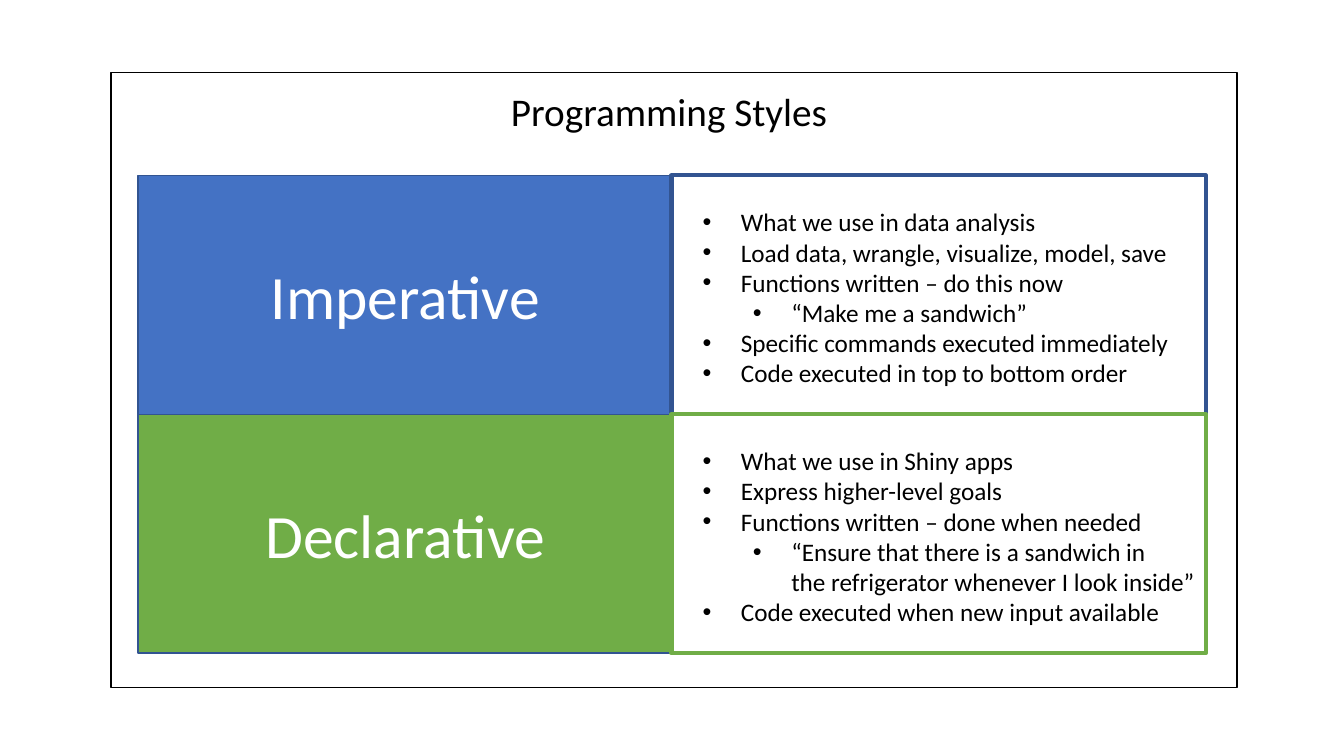
import pptx
import pptx.dml.color
import pptx.enum.shapes
import pptx.enum.text
import pptx.util
from lxml import etree
from pptx.dml.color import RGBColor
from pptx.util import Inches

BLACK = RGBColor(0x00, 0x00, 0x00)
WHITE = RGBColor(0xFF, 0xFF, 0xFF)
BLUE = RGBColor(0x44, 0x72, 0xC4)
DARK_BLUE = RGBColor(0x32, 0x54, 0x91)
GREEN = RGBColor(0x70, 0xAD, 0x47)
FONT = "Calibri"
DRAWING_NS = "{http://schemas.openxmlformats.org/drawingml/2006/main}"

# Grid of two rows and two columns
LABEL_LEFT, DETAIL_LEFT, GRID_TOP = 1.37, 6.66, 1.74
CELL_WIDTH, CELL_HEIGHT = 5.3, 2.37
POINTS_LEFT, POINTS_HEIGHT = 6.87, 1.92

# Label, fill, detail border, points width, points top, (level, point) list
STYLES = [
    ("Imperative", BLUE, DARK_BLUE, 4.87, 2.0, [
        (0, "What we use in data analysis"),
        (0, "Load data, wrangle, visualize, model, save"),
        (0, "Functions written – do this now"),
        (1, "“Make me a sandwich”"),
        (0, "Specific commands executed immediately"),
        (0, "Code executed in top to bottom order"),
    ]),
    ("Declarative", GREEN, GREEN, 5.13, 4.37, [
        (0, "What we use in Shiny apps"),
        (0, "Express higher-level goals"),
        (0, "Functions written – done when needed"),
        (1, "“Ensure that there is a sandwich in \vthe refrigerator whenever I look inside”"),
        (0, "Code executed when new input available"),
    ]),
]


def format_runs(paragraph, size, color):
    for run in paragraph.runs:
        run.font.name = FONT
        run.font.size = pptx.util.Pt(size)
        run.font.color.rgb = color


def add_box(slide, left, top, width, height, border, weight, fill=None):
    box = slide.shapes.add_shape(
        pptx.enum.shapes.MSO_SHAPE.RECTANGLE,
        Inches(left), Inches(top), Inches(width), Inches(height))
    box.shadow.inherit = False
    if fill is None:
        box.fill.background()
    else:
        box.fill.solid()
        box.fill.fore_color.rgb = fill
    box.line.color.rgb = border
    box.line.width = pptx.util.Pt(weight)
    return box


def add_label(box, label):
    frame = box.text_frame
    frame.text = label
    frame.vertical_anchor = pptx.enum.text.MSO_ANCHOR.MIDDLE
    frame.paragraphs[0].alignment = pptx.enum.text.PP_ALIGN.CENTER
    format_runs(frame.paragraphs[0], 44, WHITE)


def add_text_frame(slide, left, top, width, height):
    frame = slide.shapes.add_textbox(
        Inches(left), Inches(top), Inches(width), Inches(height)).text_frame
    frame.word_wrap = False
    frame.auto_size = pptx.enum.text.MSO_AUTO_SIZE.SHAPE_TO_FIT_TEXT
    return frame


def add_bullet(paragraph, level):
    paragraph.level = level
    properties = paragraph._p.get_or_add_pPr()
    properties.set("marL", str(Inches(0.38 + 0.5 * level)))
    properties.set("indent", str(Inches(-0.38)))
    etree.SubElement(properties, DRAWING_NS + "buFont", typeface="Arial")
    etree.SubElement(properties, DRAWING_NS + "buChar", char="•")


def add_points(slide, top, width, points):
    frame = add_text_frame(slide, POINTS_LEFT, top, width, POINTS_HEIGHT)
    for index, (level, point) in enumerate(points):
        paragraph = frame.add_paragraph() if index else frame.paragraphs[0]
        paragraph.text = point
        add_bullet(paragraph, level)
        format_runs(paragraph, 18, BLACK)


def main():
    deck = pptx.Presentation()
    deck.slide_width, deck.slide_height = Inches(13.33), Inches(7.5)
    slide = deck.slides.add_slide(deck.slide_layouts[6])

    # Title and outer frame
    title = add_text_frame(slide, 4.97, 0.82, 3.37, 0.57)
    title.text = "Programming Styles"
    format_runs(title.paragraphs[0], 28, BLACK)
    add_box(slide, 1.1, 0.72, 11.17, 6.1, BLACK, 1)

    # One row per programming style
    for row, (label, fill, border, width, points_top, points) in enumerate(STYLES):
        top = GRID_TOP + row * CELL_HEIGHT
        label_box = add_box(slide, LABEL_LEFT, top, CELL_WIDTH, CELL_HEIGHT,
                            DARK_BLUE, 1, fill)
        add_label(label_box, label)
        add_box(slide, DETAIL_LEFT, top, CELL_WIDTH, CELL_HEIGHT, border, 3)
        add_points(slide, points_top, width, points)

    deck.save("out.pptx")


if __name__ == "__main__":
    main()
